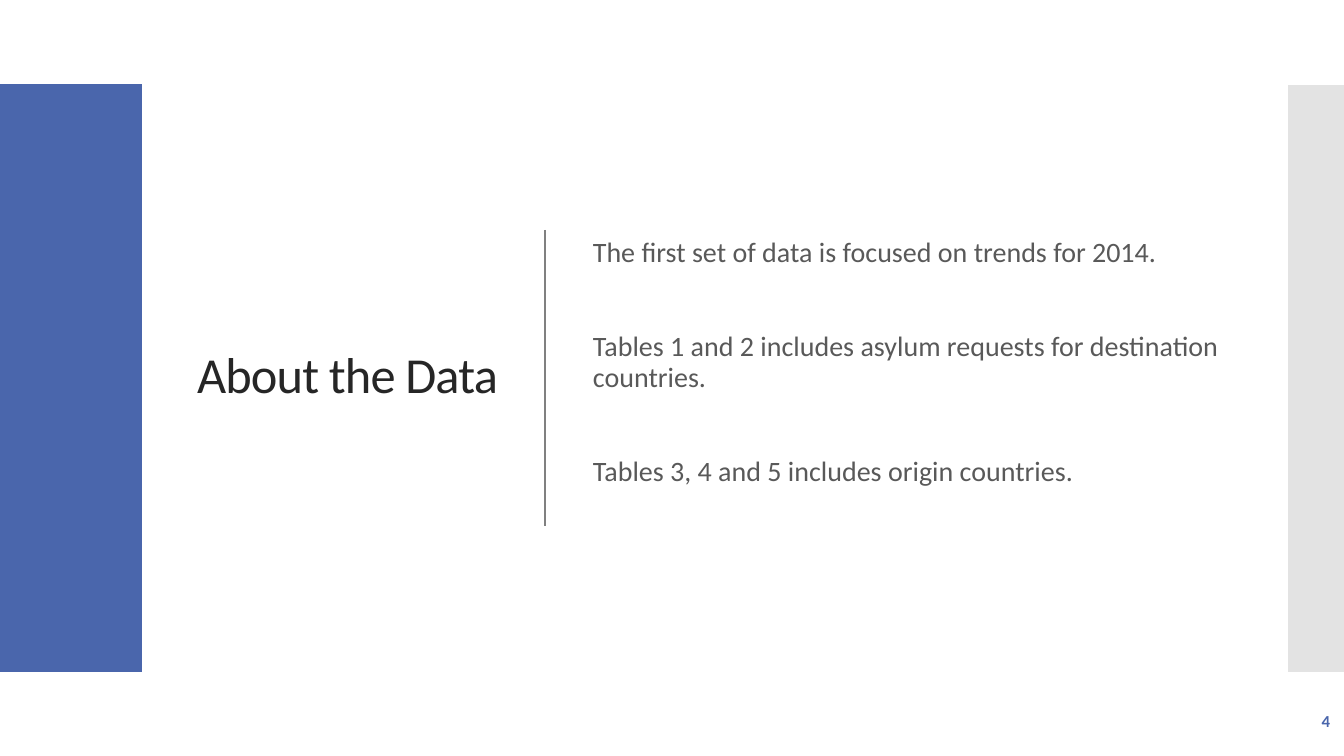
from dataclasses import dataclass

from lxml import etree
from pptx import Presentation
from pptx import util as u
from pptx.dml.color import RGBColor
from pptx.enum import shapes, text
from pptx.oxml.ns import qn
from pptx.slide import Slide

WIDE, HIGH = 1344, 756
SCALE = 12192000 / WIDE
FONT = "Calibri"

BLUE = RGBColor(0x4A, 0x66, 0xAC)
PALE = RGBColor(0xE3, 0xE3, 0xE3)
GREY = RGBColor(0x80, 0x80, 0x80)
DARK = RGBColor(0x26, 0x26, 0x26)
SOFT = RGBColor(0x59, 0x59, 0x59)


@dataclass(frozen=True)
class Box:
    left: int
    top: int
    width: int
    height: int

    def emu(self) -> list[u.Emu]:
        return [px(n) for n in (self.left, self.top, self.width, self.height)]


@dataclass(frozen=True)
class Band:
    box: Box
    fill: RGBColor


@dataclass(frozen=True)
class Block:
    box: Box
    lines: tuple[str, ...]
    size: int
    color: RGBColor
    align: text.PP_ALIGN = text.PP_ALIGN.RIGHT
    bold: bool = False
    pitch: float = 1.0
    gap: int = 0
    track: int = 0  # letter spacing, hundredths of a point


BANDS = (
    Band(Box(0, 84, 142, 588), BLUE),
    Band(Box(1288, 85, 56, 587), PALE),
)

BLOCKS = (
    Block(Box(169, 95, 339, 564), ("About the Data",), 36, DARK,
          pitch=0.9, track=-60),
    Block(Box(583, 95, 651, 536), (
        "The first set of data is focused on trends for 2014.",
        "Tables 1 and 2 includes asylum requests for destination countries.",
        "Tables 3, 4 and 5 includes origin countries.",
    ), 20, SOFT, align=text.PP_ALIGN.LEFT, pitch=0.9, gap=46),
    Block(Box(1172, 701, 168, 40), ("4",), 12, BLUE, bold=True),
)


def px(n: int) -> u.Emu:
    return u.Emu(round(n * SCALE))


def add_band(slide: Slide, band: Band) -> None:
    rect = slide.shapes.add_shape(shapes.MSO_SHAPE.RECTANGLE, *band.box.emu())
    rect.shadow.inherit = False
    rect.fill.solid()
    rect.fill.fore_color.rgb = band.fill
    rect.line.fill.background()


def add_rule(slide: Slide, x: int, top: int, end: int) -> None:
    rule = slide.shapes.add_connector(
        shapes.MSO_CONNECTOR.STRAIGHT, px(x), px(top), px(x), px(end))
    rule.line.color.rgb = GREY
    rule.line.width = u.Pt(1)
    etree.SubElement(rule._element.spPr, qn("a:effectLst"))


def add_block(slide: Slide, block: Block) -> None:
    frame = slide.shapes.add_textbox(*block.box.emu()).text_frame
    frame.word_wrap = True
    frame.vertical_anchor = text.MSO_ANCHOR.MIDDLE
    for i, line in enumerate(block.lines):
        para = frame.add_paragraph() if i else frame.paragraphs[0]
        para.alignment = block.align
        para.line_spacing = block.pitch
        para.space_before = u.Pt(block.gap if i else 0)
        para.font.name = FONT
        para.font.size = u.Pt(block.size)
        para.font.bold = block.bold
        para.font.color.rgb = block.color
        run = para.add_run()
        run.text = line
        if block.track:
            run._r.get_or_add_rPr().set("spc", str(block.track))


def main() -> None:
    deck = Presentation()
    deck.slide_width, deck.slide_height = px(WIDE), px(HIGH)
    slide = deck.slides.add_slide(deck.slide_layouts[6])
    for band in BANDS:
        add_band(slide, band)
    add_rule(slide, 545, 230, 526)
    for block in BLOCKS:
        add_block(slide, block)
    deck.save("out.pptx")


if __name__ == "__main__":
    main()
